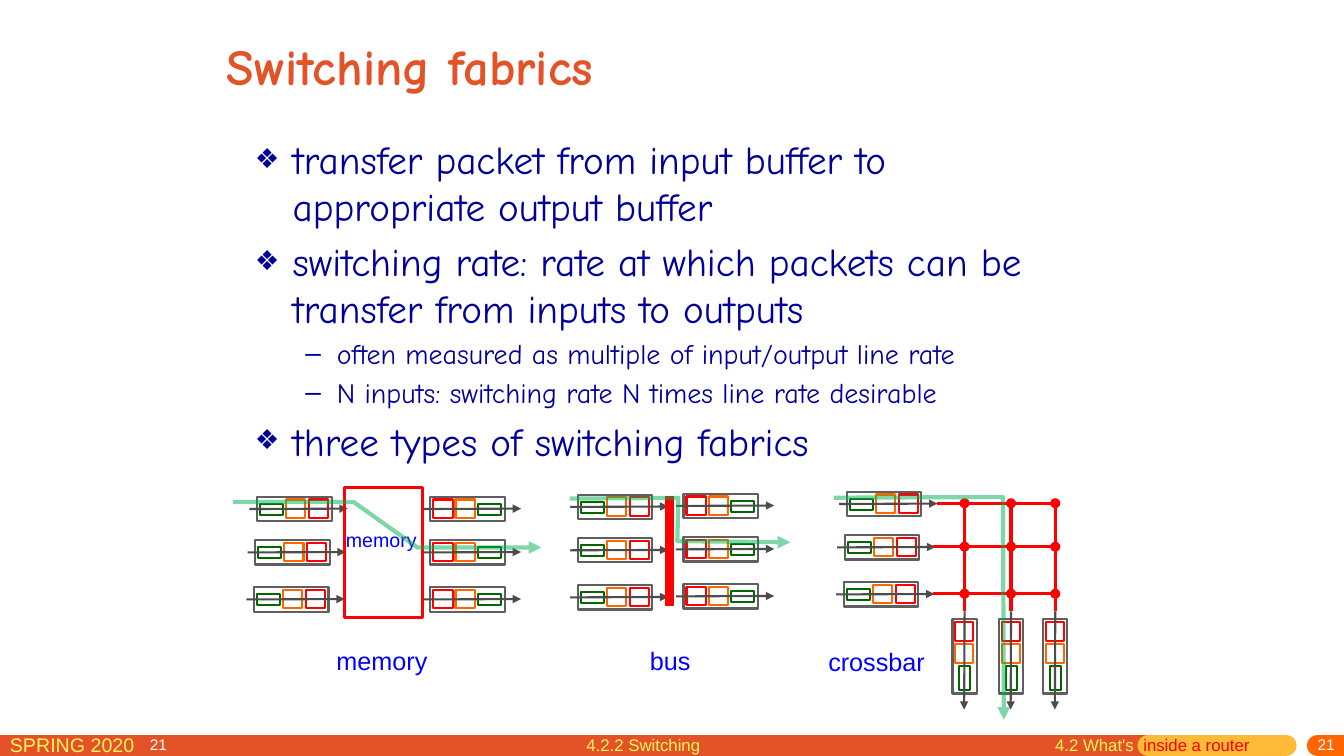
from dataclasses import dataclass

from lxml import etree
from pptx import Presentation
from pptx.dml.color import RGBColor
from pptx.enum.shapes import MSO_CONNECTOR, MSO_SHAPE
from pptx.enum.text import MSO_ANCHOR, MSO_AUTO_SIZE, PP_ALIGN
from pptx.oxml.ns import qn
from pptx.util import Pt

RECT, OVAL, STRAIGHT = MSO_SHAPE.RECTANGLE, MSO_SHAPE.OVAL, MSO_CONNECTOR.STRAIGHT
TOP, MIDDLE = MSO_ANCHOR.TOP, MSO_ANCHOR.MIDDLE
LEFT, RIGHT = PP_ALIGN.LEFT, PP_ALIGN.RIGHT
GROW = MSO_AUTO_SIZE.SHAPE_TO_FIT_TEXT


@dataclass(frozen=True)
class Theme:
    hand: str = "Comic Neue"
    sans: str = "Arial"
    brand: str = "E45327"
    amber: str = "FFBA37"
    orange: str = "FF6600"
    yellow: str = "FFF65C"
    white: str = "FFFFFF"
    navy: str = "000099"
    blue: str = "0000FF"
    red: str = "FF0000"
    green: str = "006600"
    route: str = "00B050"
    frame: str = "5F5F5F"
    arrow: str = "4C4C4C"
    title: int = 36
    bullet: int = 28
    dash: int = 20
    label: int = 18
    term: int = 14
    footer: int = 12
    number: int = 11


theme = Theme()
deck = Presentation()
deck.slide_width, deck.slide_height = Pt(960), Pt(540)
page = deck.slides.add_slide(deck.slide_layouts[6])
shapes = page.shapes


def draw_line(start, end, colour, width, arrow=False, cap=None):
    line = shapes.add_connector(STRAIGHT, *(Pt(v) for v in (*start, *end)))
    line.line.color.rgb = RGBColor.from_string(colour)
    line.line.width = Pt(width)
    etree.SubElement(line._element.spPr, qn("a:effectLst"))
    stroke = line.line._get_or_add_ln()
    if cap:
        stroke.set("cap", cap)
    if arrow:
        etree.SubElement(stroke, qn("a:tailEnd"), type="triangle")


def draw_shape(kind, bounds, fill=None, outline=None, width=1.5):
    shape = shapes.add_shape(kind, *(Pt(v) for v in bounds))
    shape.shadow.inherit = False
    for part, colour in ((shape.fill, fill), (shape.line.fill, outline)):
        if colour:
            part.solid()
            part.fore_color.rgb = RGBColor.from_string(colour)
        else:
            part.background()
    if outline:
        shape.line.width = Pt(width)


# Footer bar
for start, end, colour in ((-13, 820, theme.brand), (820, 918.7, theme.amber),
                           (941, 979, theme.orange)):
    draw_line((start, 532.5), (end, 532.5), colour, 15, cap="rnd")

# Single-line texts: bounds, runs, font, size, wrap, anchor, alignment, top inset, bold
texts = [
    ((154.8, 19.4, 612, 54), [("Switching fabrics", theme.brand)],
     theme.hand, theme.title, True, MIDDLE, LEFT, 3.6, True),
    ((0, 519.8, 164.9, 22.3), [("SPRING 2020", theme.yellow)],
     theme.sans, theme.term, True, TOP, LEFT, 3.6, False),
    ((774, 527, 186.5, 13), [("21", theme.white)],
     theme.sans, theme.number, True, MIDDLE, RIGHT, 0, False),
    ((100, 527.8, 39.6, 10.8), [("21", theme.white)],
     theme.sans, theme.number, True, MIDDLE, LEFT, 0, False),
    ((746.6, 521.3, 158.4, 22.3),
     [("4.2 What's  ", theme.yellow), ("inside a router", theme.red)],
     theme.sans, theme.footer, True, TOP, LEFT, 3.6, False),
    ((411.8, 521.3, 164.2, 22.3), [("4.2.2 Switching", theme.yellow)],
     theme.sans, theme.footer, True, TOP, LEFT, 3.6, False),
]
# Diagram labels
for caption, left, top, width, height, size in (
        ("memory", 240, 373.7, 67, 23.8, theme.term),
        ("memory", 233.3, 457.2, 79.2, 28.8, theme.label),
        ("bus", 457.2, 457.2, 43.2, 28.8, theme.label),
        ("crossbar", 584.6, 457.9, 83.5, 28.8, theme.label)):
    texts.append(((left, top, width, height), [(caption, theme.blue)],
                  theme.sans, size, False, TOP, LEFT, 3.6, False))

for bounds, spans, font, size, wrap, anchor, align, inset, bold in texts:
    box = shapes.add_textbox(*(Pt(v) for v in bounds))
    frame = box.text_frame
    frame.word_wrap = wrap
    if not wrap:
        frame.auto_size = GROW
    frame.vertical_anchor = anchor
    frame.margin_top = Pt(inset)
    para = frame.paragraphs[0]
    para.alignment = align
    para.font.name, para.font.size, para.font.bold = font, Pt(size), bold
    for words, colour in spans:
        span = para.add_run()
        span.text = words
        span.font.color.rgb = RGBColor.from_string(colour)

# Bullet list
points = [
    (0, "transfer packet from input buffer to appropriate output buffer"),
    (0, "switching rate: rate at which packets can be transfer from inputs to outputs"),
    (1, "often measured as multiple of input/output line rate"),
    (1, "N inputs: switching rate N times line rate desirable"),
    (0, "three types of switching fabrics"),
]
# Per level: mark, mark size, left margin, hanging indent, type size, space before
levels = [("❖", 70, 27, 27, theme.bullet, 5.8), ("–", 100, 58.5, 22.5, theme.dash, 3.6)]
body = shapes.add_textbox(Pt(175), Pt(92.9), Pt(595), Pt(365.8)).text_frame
body.word_wrap = True
for index, (level, words) in enumerate(points):
    mark, scale, margin, hang, size, gap = levels[level]
    para = body.add_paragraph() if index else body.paragraphs[0]
    para.text = words
    para.level = level
    para.space_before = Pt(gap if index else 0)
    props = para._p.get_or_add_pPr()
    props.set("marL", str(Pt(margin)))
    props.set("indent", str(-Pt(hang)))
    etree.SubElement(props, qn("a:buSzPct"), val=str(scale * 1000))
    etree.SubElement(props, qn("a:buFont"), typeface=theme.sans)
    etree.SubElement(props, qn("a:buChar"), char=mark)
    para.font.name, para.font.size = theme.hand, Pt(size)
    para.font.color.rgb = RGBColor.from_string(theme.navy)

# Queue positions: left, top, packets reversed, upright
row_drops = (0, 31, 64.6)
row_leans = (0, -1.4, -2.2)
columns = (689, 722.2, 753.8)
banks = [(183.6, 355, False, 1), (307.4, 355, True, 0), (412.6, 353.5, False, 0),
         (488.2, 352.8, True, 0), (604.8, 351.4, False, 1)]
queues = [(left + lean * slant, top + drop, reverse, False)
          for left, top, reverse, slant in banks
          for drop, lean in zip(row_drops, row_leans)]
queues += [(column - 8.6, 442.1, True, True) for column in columns]

# Packets: colour, offset along, offset along when reversed, offset across, length, depth
packets = [(theme.green, 2.2, 33.9, 4.8, 16.6, 7.9),
           (theme.orange, 20.9, 18, 1.8, 13.7, 13),
           (theme.red, 37.1, 2.2, 1.8, 13.7, 13)]

for left, top, reverse, upright in queues:
    parts = [(theme.frame, 0, 0, 53.3, 17.3)]
    parts += [(colour, back if reverse else ahead, across, length, depth)
              for colour, ahead, back, across, length, depth in packets]
    for colour, along, across, length, depth in parts:
        bounds = ((left + across, top + along, depth, length) if upright
                  else (left + along, top + across, length, depth))
        draw_shape(RECT, bounds, theme.white, colour)
    ends = [(-5.4, 8.6), (64.8, 8.3)]
    start, end = [(left + across, top + along) if upright
                  else (left + along, top + across) for along, across in ends]
    draw_line(start, end, theme.arrow, 1.5, arrow=True)

# Memory block and bus
draw_shape(RECT, (246.2, 348.5, 55.4, 92.9), outline=theme.red, width=2.25)
draw_line((478.1, 354.2), (478.1, 432.7), theme.red, 6)

# Crossbar grid
rows = [359.5 + drop for drop in row_drops]
for row, start in zip(rows, (669.6, 666.7, 666.7)):
    draw_line((start, row), (columns[-1], row), theme.red, 2.25)
for column in columns:
    draw_line((column, 436.3), (column, rows[0]), theme.red, 2.25)
    for row in rows:
        draw_shape(OVAL, (column - 3.6, row - 3.6, 7.2, 7.2), theme.red)

# Packet routes
routes = [
    [(166.3, 358.6), (252.7, 358.6), (298.1, 391), (386.6, 391)],
    [(406.8, 356.2), (484.6, 355.7), (483.8, 386.6), (564.5, 387.4)],
    [(595.4, 355.5), (716.4, 355), (717.1, 514.1)],
]
for route in routes:
    first, *rest = [(Pt(x), Pt(y)) for x, y in route]
    builder = shapes.build_freeform(*first)
    builder.add_line_segments(rest, close=False)
    path_shape = builder.convert_to_shape()
    path_shape.shadow.inherit = False
    path_shape.fill.background()
    path_shape.line.color.rgb = RGBColor.from_string(theme.route)
    path_shape.line.width = Pt(3)
    stroke = path_shape.line._get_or_add_ln()
    etree.SubElement(stroke.find(".//" + qn("a:srgbClr")), qn("a:alpha"), val="50000")
    etree.SubElement(stroke, qn("a:tailEnd"), type="triangle")

deck.save("out.pptx")
